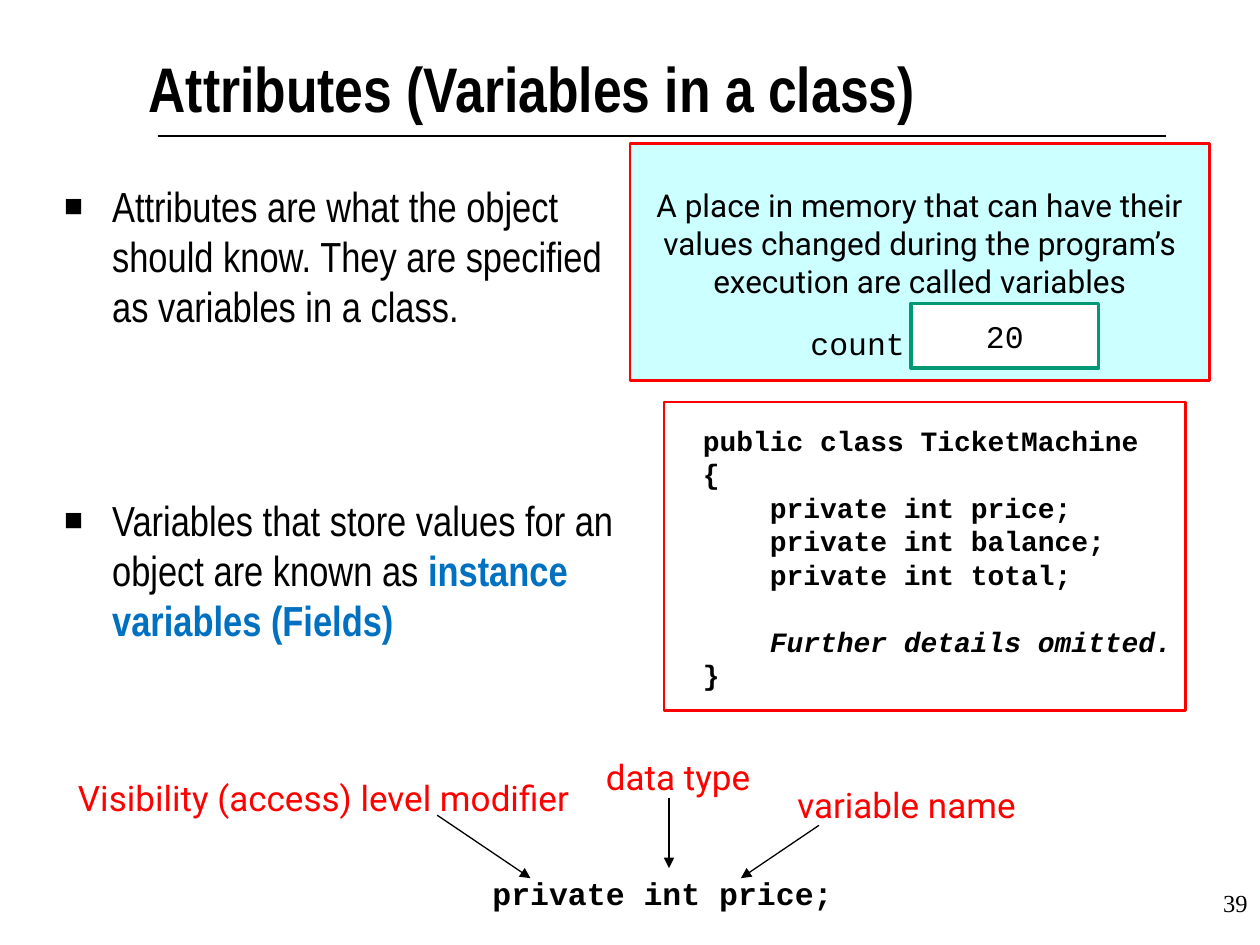
from lxml import etree
from pptx import Presentation
from pptx.dml.color import RGBColor
from pptx.enum.shapes import MSO_CONNECTOR, MSO_SHAPE
from pptx.enum.text import MSO_ANCHOR, MSO_AUTO_SIZE, PP_ALIGN
from pptx.oxml.ns import qn
from pptx.util import Inches, Pt

RECTANGLE = MSO_SHAPE.RECTANGLE
STRAIGHT = MSO_CONNECTOR.STRAIGHT
TOP, MIDDLE = MSO_ANCHOR.TOP, MSO_ANCHOR.MIDDLE
LEFT, CENTER, RIGHT = PP_ALIGN.LEFT, PP_ALIGN.CENTER, PP_ALIGN.RIGHT
NO_AUTOFIT = MSO_AUTO_SIZE.NONE

BLACK, RED, BLUE = "000000", "FF0000", "0070C0"
NARROW, MONO, SANS, SERIF = "Arial Narrow", "Courier New", "Roboto", "Times New Roman"
PADDING = (0.1, 0.05, 0.1, 0.05)


def color(value):
    return RGBColor.from_string(value)


def add_bullet(paragraph):
    properties = paragraph._p.get_or_add_pPr()
    properties.set("marL", str(Inches(0.38)))
    properties.set("indent", str(-Inches(0.38)))
    fill = etree.SubElement(properties, qn("a:buClr"))
    etree.SubElement(fill, qn("a:srgbClr"), val=BLACK)
    etree.SubElement(properties, qn("a:buSzPct"), val="75000")
    etree.SubElement(properties, qn("a:buFont"), typeface="Arial")
    etree.SubElement(properties, qn("a:buChar"), char="■")


def write(shape, paragraphs, font=NARROW, size=18, ink=BLACK, bold=False, align=LEFT,
          anchor=TOP, insets=PADDING, wrap=True, bullets=False, gaps=None):
    """Each paragraph is a list of (text, overrides) runs; gaps maps index to space before."""
    frame = shape.text_frame
    frame.auto_size = NO_AUTOFIT
    frame.word_wrap = wrap
    frame.vertical_anchor = anchor
    (frame.margin_left, frame.margin_top,
     frame.margin_right, frame.margin_bottom) = map(Inches, insets)
    for index, runs in enumerate(paragraphs):
        paragraph = frame.add_paragraph() if index else frame.paragraphs[0]
        paragraph.alignment = align
        paragraph.space_before = Pt((gaps or {}).get(index, 0))
        if bullets:
            add_bullet(paragraph)
        for text, overrides in runs:
            run = paragraph.add_run()
            run.text = text
            run.font.name = font
            run.font.size = Pt(size)
            run.font.bold = overrides.get("bold", bold)
            run.font.italic = overrides.get("italic", False)
            run.font.color.rgb = color(overrides.get("ink", ink))


def add_text(slide, box, paragraphs, **text_format):
    write(slide.shapes.add_textbox(*map(Inches, box)), paragraphs, **text_format)


def add_box(slide, box, outline, width, fill=None):
    shape = slide.shapes.add_shape(RECTANGLE, *map(Inches, box))
    shape.shadow.inherit = False
    if fill:
        shape.fill.solid()
        shape.fill.fore_color.rgb = color(fill)
    else:
        shape.fill.background()
    shape.line.color.rgb = color(outline)
    shape.line.width = Pt(width)
    return shape


def add_line(slide, start, end, arrow=False):
    line = slide.shapes.add_connector(STRAIGHT, *map(Inches, (*start, *end)))
    line.line.color.rgb = color(BLACK)
    line.line.width = Pt(0.75)
    if arrow:
        etree.SubElement(line.line._get_or_add_ln(), qn("a:tailEnd"), type="triangle")
    etree.SubElement(line._element.spPr, qn("a:effectLst"))


def add_title(slide, left, top, width, height):
    title = slide.shapes.title
    title.left, title.top, title.width, title.height = map(Inches, (left, top, width, height))
    write(title, [[("Attributes (Variables in a class)", {})]],
          size=36, bold=True, insets=(0, 0, 0, 0))
    rule_y = top + 0.69
    add_line(slide, (left + 0.07, rule_y), (left + 8.07, rule_y))


def add_definitions(slide, box):
    add_text(slide, box, [
        [("Attributes are what the object should know. "
          "They are specified as variables in a class.", {})],
        [("Variables that store values for an object are known as ", {}),
         ("instance variables (Fields)", {"bold": True, "ink": BLUE})],
    ], size=24, insets=(0, 0, 0, 0), bullets=True, gaps={1: 93})


def add_memory_panel(slide, left, top, width, height):
    panel = add_box(slide, (left, top, width, height), RED, 1.5, "CCFFFF")
    write(panel, [[("A place in memory that can have their values changed during "
                    "the program’s execution are called variables", {})]],
          font=SANS, align=CENTER, anchor=MIDDLE, insets=(0.1, 0.05, 0.1, 0.35))
    cell = add_box(slide, (left + 2.23, top + 1.27, 1.49, 0.51), "009973", 2, "FFFFFF")
    write(cell, [[("20", {})]], font=MONO, align=CENTER, anchor=MIDDLE)
    add_text(slide, (left + 1.14, top + 1.33, 1.14, 0.51), [[("count", {})]],
             font=MONO, align=RIGHT, anchor=MIDDLE)


def add_code_panel(slide, left, top, width, height):
    add_box(slide, (left, top, width, height), RED, 1.5)
    code = ["public class TicketMachine", "{", "    private int price;",
            "    private int balance;", "    private int total;",
            "    Further details omitted.", "}"]
    omitted = 5
    lines = [[(line, {"italic": index == omitted})] for index, line in enumerate(code)]
    add_text(slide, (left + 0.21, top + 0.12, width - 0.22, height - 0.21), lines,
             font=MONO, size=16, bold=True, wrap=False, gaps={omitted: 19})


def add_declaration(slide, left, top, width, height):
    statement_height = 0.4
    add_text(slide, (left + 3.29, top + height - statement_height, 2.9, statement_height),
             [[("private int price;", {})]], font=MONO, bold=True, wrap=False)
    parts = [
        ("Visibility (access) level modifier", (0, 0.16, 4.21), (2.95, 0.52), (3.69, 1.02)),
        ("data type", (4.19, 0, 1.42), (4.79, 0.38), (4.79, 0.94)),
        ("variable name", (5.71, 0.22, width - 5.71), (5.98, 0.6), (5.36, 1.02)),
    ]
    for label, (x, y, label_width), start, end in parts:
        add_text(slide, (left + x, top + y, label_width, 0.44), [[(label, {})]],
                 font=SANS, size=20, ink=RED, wrap=False)
        add_line(slide, (left + start[0], top + start[1]),
                 (left + end[0], top + end[1]), arrow=True)


def add_page_number(slide, box):
    add_text(slide, box, [[("39", {})]], font=SERIF, size=14, align=RIGHT)


def main():
    deck = Presentation()
    deck.slide_width, deck.slide_height = Inches(10), Inches(7.5)
    slide = deck.slides.add_slide(deck.slide_layouts[5])
    add_title(slide, 1.18, 0.39, 7.65, 0.75)
    add_definitions(slide, (0.51, 1.43, 4.55, 4.81))
    add_code_panel(slide, 5.27, 3.19, 4.14, 2.45)
    add_declaration(slide, 0.52, 5.95, 7.77, 1.34)
    add_memory_panel(slide, 5, 1.14, 4.6, 1.88)
    add_page_number(slide, (7.92, 7, 2.08, 0.5))
    deck.save("out.pptx")


if __name__ == "__main__":
    main()
